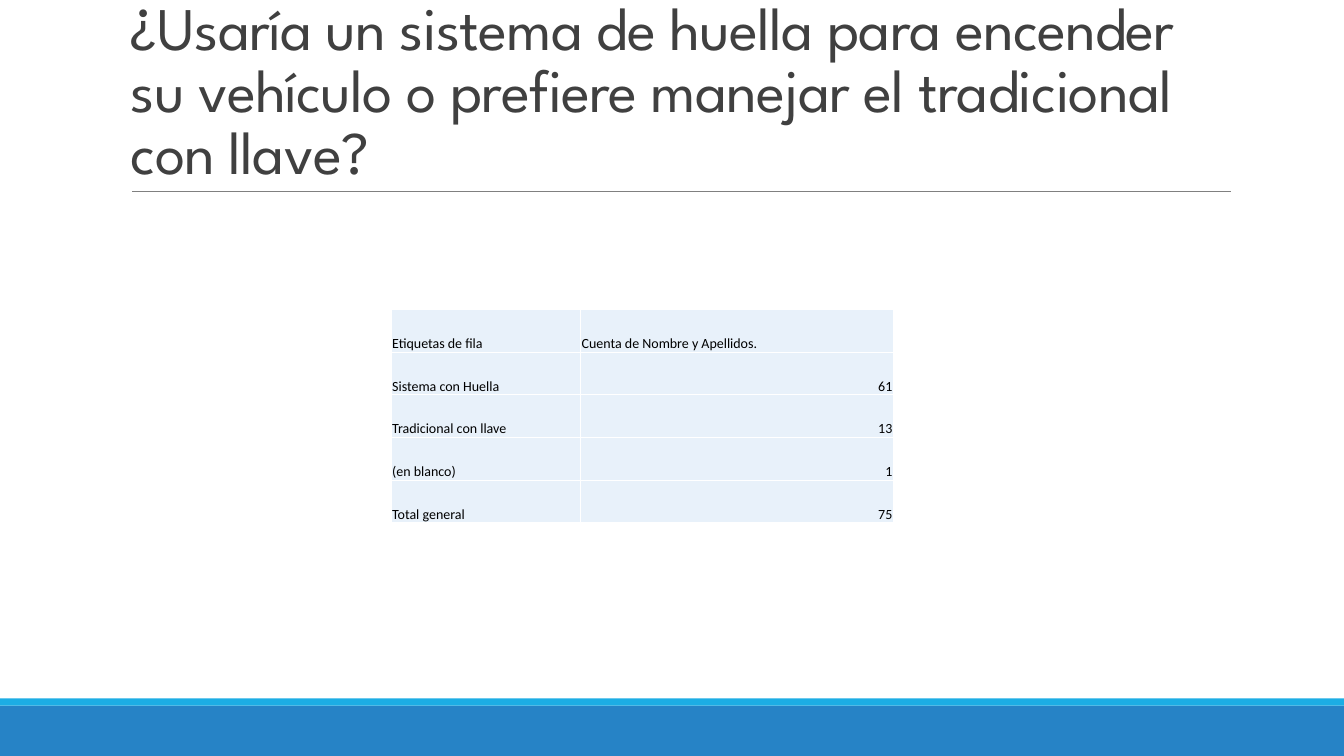
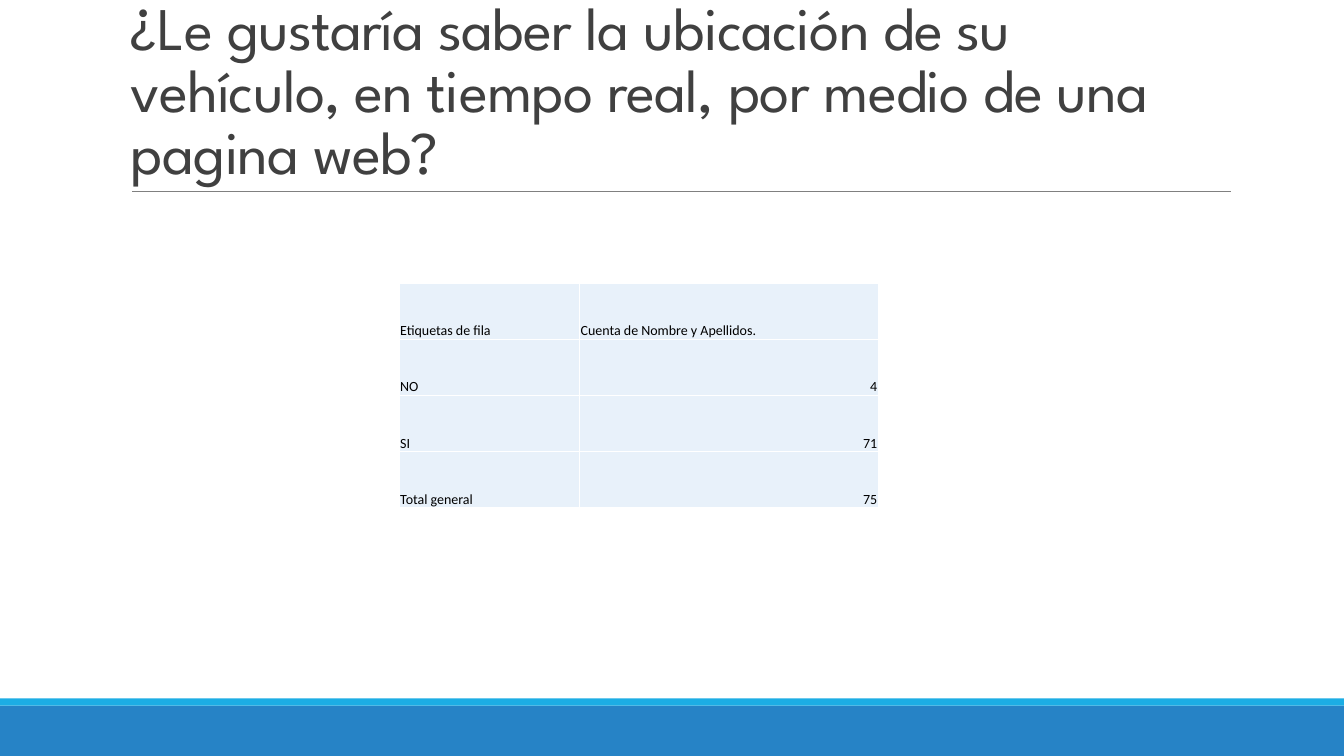
from dataclasses import dataclass

from lxml import etree
from pptx import Presentation
from pptx import util as u
from pptx.dml.color import RGBColor
from pptx.enum import shapes, text
from pptx.oxml import parse_xml
from pptx.oxml.ns import nsdecls, qn


@dataclass
class Theme:
    band: str = "2683C6"
    stripe: str = "1CADE4"
    rule: str = "808080"
    title: str = "404040"
    body: str = "000000"
    cell: str = "E8F1FA"
    border: str = "FFFFFF"
    title_font: str = "League Spartan"
    body_font: str = "Calibri"
    title_size: float = 43.2
    body_size: float = 10


theme = Theme()
header = ("Etiquetas de fila", "Cuenta de Nombre y Apellidos.")
surveys = [
    {
        "question": "¿Usaría un sistema de huella para encender su vehículo o prefiere manejar el tradicional con llave?",
        "answers": [("Sistema con Huella", 61), ("Tradicional con llave", 13), ("(en blanco)", 1), ("Total general", 75)],
        "left": 3.88, "top": 3.07, "widths": (1.88, 3.1), "height": 2.12,
    },
    {
        "question": "¿Le gustaría saber la ubicación de su vehículo, en tiempo real, por medio de una pagina web?",
        "answers": [("NO", 4), ("SI", 71), ("Total general", 75)],
        "left": 3.96, "top": 2.81, "widths": (1.79, 2.96), "height": 2.23,
    },
]


def write(frame, words, font, size, color, align=text.PP_ALIGN.LEFT, line_spacing=1.0, tracking=0):
    para = frame.paragraphs[0]
    para.alignment = align
    para.line_spacing = line_spacing
    span = para.add_run()
    span.text = words
    span.font.name = font
    span.font.size = u.Pt(size)
    span.font.color.rgb = RGBColor.from_string(color)
    if tracking:
        span.font._element.set("spc", str(round(tracking * 100)))


def add_borders(cell, color, points):
    properties = cell._tc.get_or_add_tcPr()
    for side in ("lnL", "lnR", "lnT", "lnB"):
        properties.append(parse_xml(
            f'<a:{side} {nsdecls("a")} w="{u.Pt(points)}"><a:solidFill>'
            f'<a:srgbClr val="{color}"/></a:solidFill></a:{side}>'
        ))


deck = Presentation()
deck.slide_width = u.Inches(13.33)
deck.slide_height = u.Inches(7.5)

for survey in surveys:
    page = deck.slides.add_slide(deck.slide_layouts[6])

    for top, height, color in ((7, 0.5, theme.band), (6.93, 0.07, theme.stripe)):
        band = page.shapes.add_shape(
            shapes.MSO_SHAPE.RECTANGLE, 0, u.Inches(top), deck.slide_width, u.Inches(height))
        band.shadow.inherit = False
        band.fill.solid()
        band.fill.fore_color.rgb = RGBColor.from_string(color)
        band.line.fill.background()

    rule = page.shapes.add_connector(
        shapes.MSO_CONNECTOR.STRAIGHT, u.Inches(1.31), u.Inches(1.9), u.Inches(12.21), u.Inches(1.9))
    rule.line.color.rgb = RGBColor.from_string(theme.rule)
    rule.line.width = u.Pt(0.5)
    etree.SubElement(rule._element.spPr, qn("a:effectLst"))

    box = page.shapes.add_textbox(u.Inches(1.2), u.Inches(0.31), u.Inches(11), u.Inches(1.59))
    box.text_frame.word_wrap = True
    box.text_frame.vertical_anchor = text.MSO_ANCHOR.BOTTOM
    write(box.text_frame, survey["question"], theme.title_font, theme.title_size, theme.title,
          line_spacing=0.85, tracking=-0.5)

    rows = [header] + survey["answers"]
    table = page.shapes.add_table(
        len(rows), len(header), u.Inches(survey["left"]), u.Inches(survey["top"]),
        u.Inches(sum(survey["widths"])), u.Inches(survey["height"])).table
    for column, width in zip(table.columns, survey["widths"]):
        column.width = u.Inches(width)

    for row_index, row in enumerate(rows):
        for column_index, value in enumerate(row):
            cell = table.cell(row_index, column_index)
            cell.margin_left = cell.margin_right = cell.margin_top = u.Inches(0.01)
            cell.margin_bottom = 0
            cell.vertical_anchor = text.MSO_ANCHOR.BOTTOM
            add_borders(cell, theme.border, 1)
            cell.fill.solid()
            cell.fill.fore_color.rgb = RGBColor.from_string(theme.cell)
            align = text.PP_ALIGN.RIGHT if isinstance(value, int) else text.PP_ALIGN.LEFT
            write(cell.text_frame, str(value), theme.body_font, theme.body_size, theme.body, align=align)

deck.save("out.pptx")
